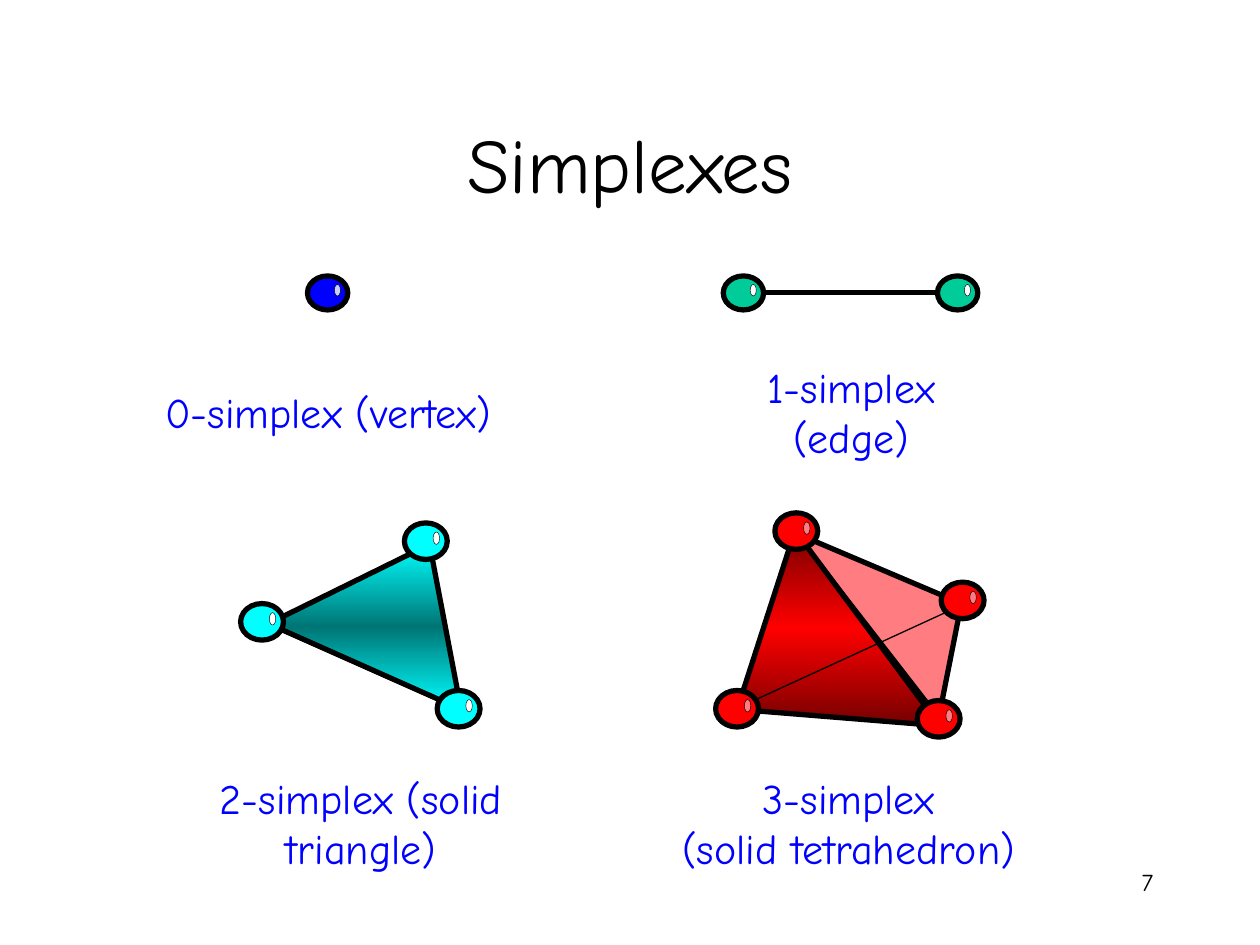
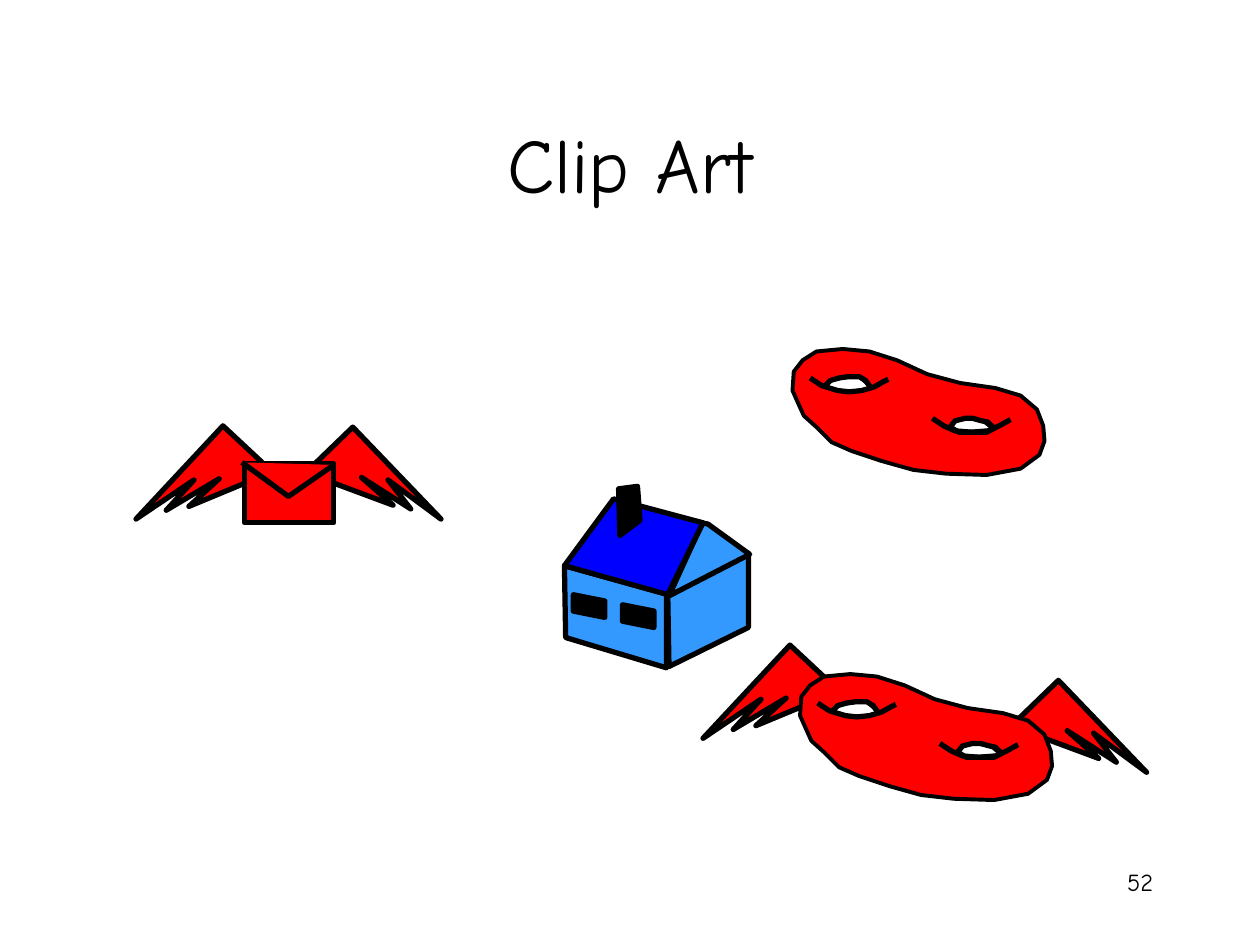
"""Build two slides: a gallery of simplexes and a page of drawn clip art."""
from copy import deepcopy
from dataclasses import dataclass
from typing import Optional

from lxml.etree import SubElement
from pptx import Presentation
from pptx.dml.color import RGBColor
from pptx.enum.shapes import MSO_CONNECTOR as Connector, MSO_SHAPE as Preset
from pptx.enum.text import MSO_ANCHOR as Anchor, PP_ALIGN as Align
from pptx.oxml.ns import qn
from pptx.util import Cm, Length, Pt

FONT = "Comic Neue"
BLACK = RGBColor(0x00, 0x00, 0x00)
WHITE = RGBColor(0xFF, 0xFF, 0xFF)
BLUE = RGBColor(0x00, 0x00, 0xFF)
LAVENDER = RGBColor(0xCC, 0xCC, 0xFF)
GREEN = RGBColor(0x00, 0xCC, 0x99)
CYAN = RGBColor(0x00, 0xFF, 0xFF)
TEAL = RGBColor(0x00, 0x75, 0x75)
RED = RGBColor(0xFF, 0x00, 0x00)
DARK_RED = RGBColor(0x75, 0x00, 0x00)
PINK = RGBColor(0xFF, 0x7C, 0x80)
SKY = RGBColor(0x33, 0x99, 0xFF)

GRID_CM = 2.54
TITLE_BOX = (0.75, 0.67, 8.5, 1.25)
NUMBER_BOX = (7.17, 6.83, 2.08, 0.5)
LINE_WIDTH = 3

Point = tuple[float, float]
Box = tuple[float, float, float, float]


@dataclass(frozen=True)
class Outline:
    """A path with its fill; a second colour makes a banded gradient."""
    points: list[Point]
    fill: Optional[RGBColor] = None
    middle: Optional[RGBColor] = None
    width: float = LINE_WIDTH
    closed: bool = True


@dataclass(frozen=True)
class Edge:
    """A straight line between two points."""
    start: Point
    end: Point
    width: float = LINE_WIDTH


@dataclass(frozen=True)
class Simplex:
    """A simplex with its caption, faces, edges and vertex corners."""
    caption: list[str]
    caption_box: Box
    color: RGBColor
    glint: RGBColor
    vertex_size: Point
    vertices: list[Point]
    faces: tuple[Outline, ...] = ()
    edges: tuple[Edge, ...] = ()


SMALL_VERTEX = (0.32, 0.27)
LARGE_VERTEX = (0.34, 0.29)

SIMPLEXES = [
    Simplex(["0-simplex (vertex)"], (1.18, 3.02, 2.85, 0.5), BLUE, LAVENDER,
            SMALL_VERTEX, [(2.44, 2.19)]),
    Simplex(["1-simplex (edge)"], (5.6, 2.82, 2.31, 0.9), GREEN, WHITE,
            SMALL_VERTEX, [(5.74, 2.19), (7.44, 2.19)],
            edges=(Edge((5.94, 2.32), (7.54, 2.32)),)),
    Simplex(["2-simplex (solid triangle)"], (1.63, 6.08, 2.47, 0.9), CYAN, WHITE,
            LARGE_VERTEX, [(1.91, 4.79), (3.21, 4.15), (3.47, 5.48)],
            faces=(Outline([(2.13, 4.95), (3.41, 4.32), (3.66, 5.63)], CYAN, TEAL),)),
    Simplex(["3-simplex", "(solid tetrahedron)"], (4.99, 6.08, 3.49, 0.9), RED, PINK,
            LARGE_VERTEX, [(6.15, 4.07), (7.28, 5.56), (5.68, 5.48), (7.47, 4.62)],
            faces=(Outline([(6.31, 4.23), (7.45, 5.7), (7.63, 4.79)], PINK),
                   Outline([(6.31, 4.21), (7.46, 5.76), (5.85, 5.63)], DARK_RED, RED)),
            edges=(Edge((5.83, 5.63), (7.66, 4.79), 0.75),)),
]

LEFT_WING = Outline([(0.99, 0.28), (0.69, 0), (0, 0.74), (0.46, 0.43), (0.24, 0.67),
                     (0.66, 0.42), (0.42, 0.64), (1.07, 0.37)], RED)
RIGHT_WING = Outline([(0.08, 0.29), (0.38, 0), (1.08, 0.73), (0.66, 0.42), (0.84, 0.65),
                      (0.45, 0.4), (0.7, 0.62), (0, 0.36)], RED)
ENVELOPE_BOX = (1.94, 3.68, 0.71, 0.47)
ENVELOPE_FLAP = Outline([(1.92, 3.67), (2.29, 3.94), (2.65, 3.69)], RED, closed=False)

HOUSE = [
    Outline([(4.49, 5.06), (5.29, 5.3), (5.29, 4.72), (5.31, 4.72), (4.48, 4.49)], SKY),
    Outline([(5.31, 5.29), (5.94, 4.98), (5.94, 4.39), (5.3, 4.72)], SKY),
    Outline([(5.31, 4.73), (5.95, 4.4), (5.62, 4.16), (5.48, 4.13), (5.57, 4.16)], SKY),
    Outline([(5.3, 4.72), (4.48, 4.49), (4.87, 3.96), (5.58, 4.15)], BLUE),
    Outline([(4.92, 4.25), (5.08, 4.13), (5.06, 3.86), (4.91, 3.88)], BLACK),
]
WINDOW = Outline([(0, 0.13), (0.25, 0.18), (0.25, 0.05), (0, 0)], BLACK)
WINDOW_ORIGINS = [(4.55, 4.72), (4.94, 4.8)]

DOUBLE_TORUS = [
    Outline([(0.01, 0.18), (0, 0.33), (0.04, 0.42), (0.09, 0.53), (0.19, 0.62),
             (0.31, 0.74), (0.47, 0.81), (0.71, 0.89), (0.96, 0.96), (1.22, 0.99),
             (1.54, 1), (1.81, 0.95), (1.96, 0.84), (2, 0.73), (1.99, 0.61),
             (1.94, 0.48), (1.81, 0.37), (1.61, 0.31), (1.33, 0.27), (1.07, 0.2),
             (0.83, 0.09), (0.61, 0.02), (0.4, 0), (0.19, 0.02), (0.08, 0.09)],
            RED, width=2.25),
    Outline([(1.25, 0.62), (1.28, 0.63), (1.31, 0.65), (1.36, 0.66), (1.54, 0.66),
             (1.57, 0.63), (1.51, 0.58), (1.46, 0.57), (1.38, 0.56), (1.26, 0.59)],
            WHITE, width=0.75),
    Outline([(0.26, 0.3), (0.3, 0.31), (0.33, 0.32), (0.38, 0.33), (0.48, 0.34),
             (0.63, 0.32), (0.54, 0.24), (0.51, 0.22), (0.33, 0.25), (0.28, 0.27)],
            WHITE, width=0.75),
    Outline([(1.11, 0.55), (1.2, 0.61), (1.29, 0.65), (1.42, 0.66), (1.55, 0.65),
             (1.64, 0.61), (1.73, 0.56)], closed=False),
    Outline([(0.25, 0.3), (0.3, 0.25), (0.37, 0.23), (0.44, 0.22), (0.53, 0.22),
             (0.58, 0.25), (0.63, 0.32)], closed=False),
    Outline([(0.14, 0.23), (0.23, 0.29), (0.26, 0.3), (0.36, 0.33), (0.45, 0.34),
             (0.55, 0.33), (0.65, 0.3), (0.72, 0.26), (0.76, 0.24)], closed=False),
    Outline([(1.25, 0.62), (1.32, 0.66), (1.54, 0.66), (1.6, 0.63), (1.55, 0.58),
             (1.5, 0.57), (1.43, 0.55), (1.37, 0.55), (1.29, 0.57)]),
]


def grid(value: float) -> Length:
    """Turn grid units into a length."""
    return Cm(value * GRID_CM)


def place(box: Box) -> tuple[Length, ...]:
    """Turn a box in grid units into lengths."""
    return tuple(grid(value) for value in box)


def write(shape, lines: list[str], size: float, color: RGBColor, align: Align, anchor: Anchor) -> None:
    """Fill a shape with one formatted paragraph per line."""
    frame = shape.text_frame
    frame.word_wrap = True
    frame.vertical_anchor = anchor
    for index, line in enumerate(lines):
        paragraph = frame.add_paragraph() if index else frame.paragraphs[0]
        paragraph.alignment = align
        run = paragraph.add_run()
        run.text = line
        run.font.name = FONT
        run.font.size = Pt(size)
        run.font.color.rgb = color


def add_text(slide, box: Box, lines: list[str], size: float, color: RGBColor,
             align: Align = Align.CENTER, anchor: Anchor = Anchor.MIDDLE) -> None:
    """Add a wrapped text box."""
    write(slide.shapes.add_textbox(*place(box)), lines, size, color, align, anchor)


def add_titled_slide(presentation, title: str, number: str):
    """Add a slide with its title and slide number."""
    slide = presentation.slides.add_slide(presentation.slide_layouts[5])
    heading = slide.shapes.title
    heading.left, heading.top, heading.width, heading.height = place(TITLE_BOX)
    write(heading, [title], 44, BLACK, Align.CENTER, Anchor.MIDDLE)
    add_text(slide, NUMBER_BOX, [number], 14, BLACK, Align.RIGHT, Anchor.TOP)
    return slide


def style_line(shape, width: float) -> None:
    """Give a shape or connector a black line."""
    shape.line.color.rgb = BLACK
    shape.line.width = Pt(width)


def add_preset(slide, preset: Preset, box: Box, color: RGBColor, width: float = LINE_WIDTH) -> None:
    """Add a filled preset shape with a black line."""
    shape = slide.shapes.add_shape(preset, *place(box))
    shape.shadow.inherit = False
    shape.fill.solid()
    shape.fill.fore_color.rgb = color
    style_line(shape, width)


def fill_banded(shape, outer: RGBColor, middle: RGBColor) -> None:
    """Fill a shape with a vertical gradient of three stops."""
    shape.fill.gradient()
    shape.fill.gradient_angle = 90
    stop_list = next(shape._element.iter(qn("a:gsLst")))
    stop_list.insert(1, deepcopy(stop_list[0]))
    for index, (stop, color) in enumerate(zip(shape.fill.gradient_stops, (outer, middle, outer))):
        stop.position = index / 2
        stop.color.rgb = color


def add_outline(slide, outline: Outline, origin: Point = (0, 0)) -> None:
    """Add a freeform with round joins, moved to the origin."""
    points = [(grid(origin[0] + x), grid(origin[1] + y)) for x, y in outline.points]
    builder = slide.shapes.build_freeform(*points[0])
    builder.add_line_segments(points[1:], close=outline.closed)
    shape = builder.convert_to_shape()
    shape.shadow.inherit = False
    if outline.middle is not None:
        fill_banded(shape, outline.fill, outline.middle)
    elif outline.fill is not None:
        shape.fill.solid()
        shape.fill.fore_color.rgb = outline.fill
    else:
        shape.fill.background()
    style_line(shape, outline.width)
    SubElement(shape._element.spPr.find(qn("a:ln")), qn("a:round"))


def add_edge(slide, edge: Edge) -> None:
    """Add a straight black connector."""
    connector = slide.shapes.add_connector(Connector.STRAIGHT, *place(edge.start + edge.end))
    style_line(connector, edge.width)
    SubElement(connector._element.spPr, qn("a:effectLst"))


def add_vertex(slide, corner: Point, size: Point, color: RGBColor, glint: RGBColor) -> None:
    """Add a round vertex with a small glint."""
    (left, top), (width, height) = corner, size
    add_preset(slide, Preset.OVAL, (left, top, width, height), color)
    glint_box = (left + 0.67 * width, top + 0.25 * height, 0.15 * width, 0.34 * height)
    add_preset(slide, Preset.OVAL, glint_box, glint, 0.25)


def add_simplex(slide, simplex: Simplex) -> None:
    """Draw a simplex and its caption."""
    for face in simplex.faces:
        add_outline(slide, face)
    for edge in simplex.edges:
        add_edge(slide, edge)
    for corner in simplex.vertices:
        add_vertex(slide, corner, simplex.vertex_size, simplex.color, simplex.glint)
    add_text(slide, simplex.caption_box, simplex.caption, 24, BLUE)


def add_wings(slide, left: Point, right: Point) -> None:
    """Draw a pair of wings."""
    add_outline(slide, RIGHT_WING, right)
    add_outline(slide, LEFT_WING, left)


def add_double_torus(slide, origin: Point) -> None:
    """Draw a torus with two holes."""
    for outline in DOUBLE_TORUS:
        add_outline(slide, outline, origin)


def add_house(slide) -> None:
    """Draw the house with its windows."""
    for outline in HOUSE:
        add_outline(slide, outline)
    for origin in WINDOW_ORIGINS:
        add_outline(slide, WINDOW, origin)


def main() -> None:
    """Build and save the presentation."""
    presentation = Presentation()
    presentation.slide_width, presentation.slide_height = Cm(25.4), Cm(19.05)

    simplex_slide = add_titled_slide(presentation, "Simplexes", "7")
    for simplex in SIMPLEXES:
        add_simplex(simplex_slide, simplex)

    art_slide = add_titled_slide(presentation, "Clip Art", "52")
    add_house(art_slide)
    add_wings(art_slide, (1.08, 3.38), (2.42, 3.39))
    add_preset(art_slide, Preset.RECTANGLE, ENVELOPE_BOX, RED)
    add_outline(art_slide, ENVELOPE_FLAP)
    add_double_torus(art_slide, (6.29, 2.77))
    add_wings(art_slide, (5.58, 5.12), (8.02, 5.4))
    add_double_torus(art_slide, (6.35, 5.35))

    presentation.save("out.pptx")


if __name__ == "__main__":
    main()
